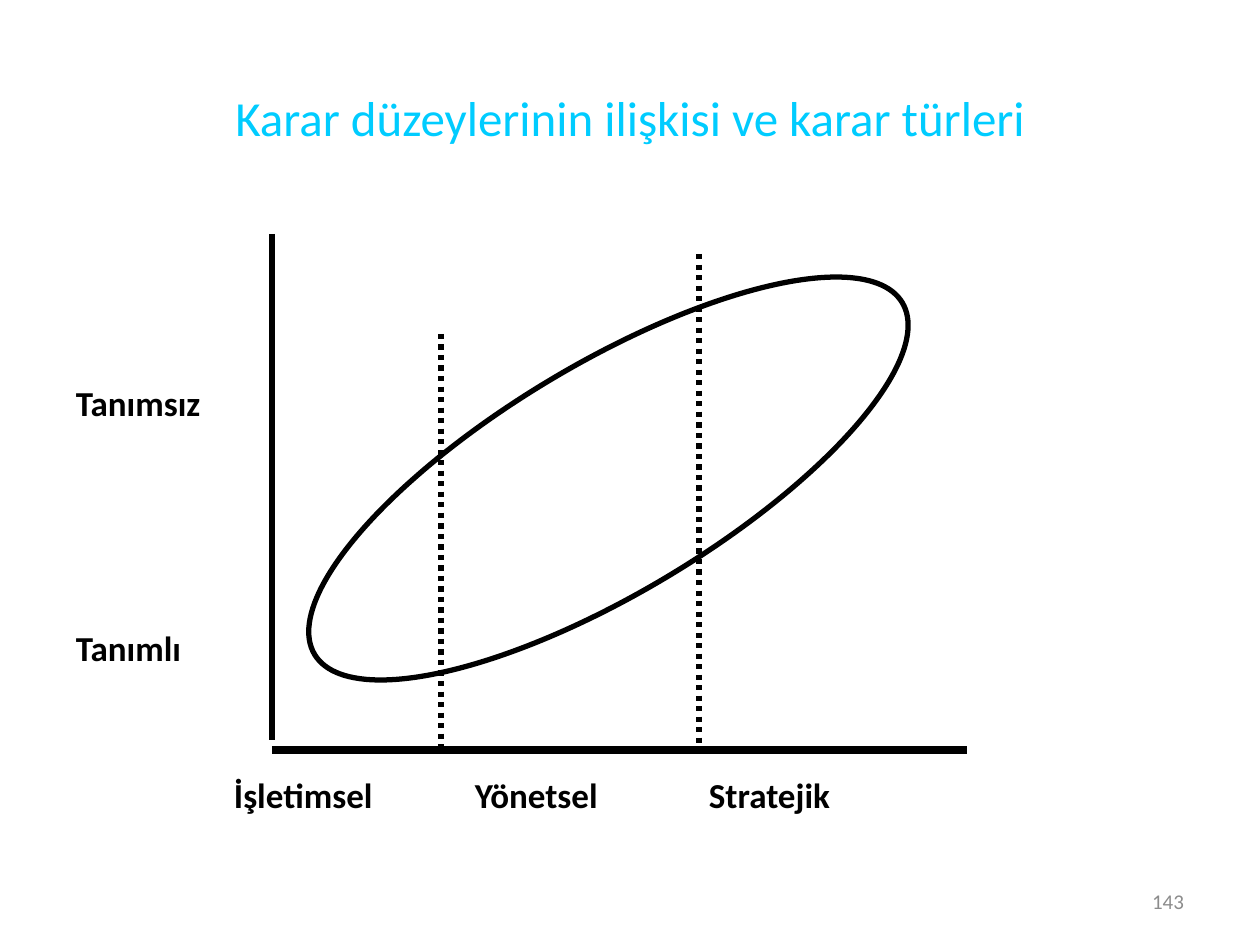
from pptx import Presentation
from pptx.dml.color import RGBColor
from pptx.enum.dml import MSO_LINE
from pptx.enum.shapes import MSO_CONNECTOR, MSO_SHAPE
from pptx.enum.text import MSO_ANCHOR, PP_ALIGN
from pptx.oxml.ns import qn
from pptx.util import Emu, Pt
from lxml import etree

PX = 914400 // 126
BLACK = RGBColor(0x00, 0x00, 0x00)
CYAN = RGBColor(0x00, 0xCC, 0xFF)
GRAY = RGBColor(0x8C, 0x8C, 0x8C)
LEFT, CENTER, RIGHT = PP_ALIGN.LEFT, PP_ALIGN.CENTER, PP_ALIGN.RIGHT
MIDDLE = MSO_ANCHOR.MIDDLE
STRAIGHT = MSO_CONNECTOR.STRAIGHT
OVAL = MSO_SHAPE.OVAL
DOTTED = MSO_LINE.ROUND_DOT  # written as sysDot

AXIS_X, AXIS_Y = 272, 750
LABEL_W, LABEL_H = 190, 44
LEVELS = [("Tanımsız", 403), ("Tanımlı", 648)]
DECISIONS = [("İşletimsel", 234), ("Yönetsel", 475), ("Stratejik", 709)]
DECISION_Y = 795
DIVIDERS = [(441, 334), (699, 254)]


def px(*lengths):
    return [Emu(n * PX) for n in lengths]


def add_text(s, text, x, y, w, h, size=20, color=BLACK, bold=False, align=LEFT, inset=0):
    tf = s.shapes.add_textbox(*px(x, y, w, h)).text_frame
    tf.word_wrap = True
    tf.vertical_anchor = MIDDLE
    tf.margin_left = tf.margin_right = Emu(inset * PX)
    tf.margin_top = tf.margin_bottom = 0
    p = tf.paragraphs[0]
    p.alignment = align
    r = p.add_run()
    r.text = text
    r.font.name = "Calibri"
    r.font.size = Pt(size)
    r.font.bold = bold
    r.font.color.rgb = color


def add_label(s, text, x, middle):
    add_text(s, text, x, middle - LABEL_H // 2, LABEL_W, LABEL_H, bold=True)


def add_line(s, x1, y1, x2, y2, width=3, dash=None):
    line = s.shapes.add_connector(STRAIGHT, *px(x1, y1, x2, y2))
    line.line.color.rgb = BLACK
    line.line.width = Pt(width)
    if dash:
        line.line.dash_style = dash
    etree.SubElement(line._element.spPr, qn("a:effectLst"))


def add_ellipse(s, x, y, w, h, rotation):
    sp = s.shapes.add_shape(OVAL, *px(x, y, w, h))
    sp.rotation = rotation
    sp.shadow.inherit = False
    sp.fill.background()
    sp.line.color.rgb = BLACK
    sp.line.width = Pt(3)


def main():
    prs = Presentation()
    prs.slide_width, prs.slide_height = px(1260, 945)
    s = prs.slides.add_slide(prs.slide_layouts[6])

    add_text(s, "Karar düzeylerinin ilişkisi ve karar türleri",
             63, 38, 1134, 158, size=28, color=CYAN, align=CENTER, inset=13)
    for text, middle in LEVELS:
        add_label(s, text, 76, middle)
    for text, x in DECISIONS:
        add_label(s, text, x, DECISION_Y)

    add_line(s, AXIS_X, 234, AXIS_X, 740)
    add_line(s, AXIS_X, AXIS_Y, 967, AXIS_Y, width=4.5)
    add_ellipse(s, 266, 364, 685, 229, 329.1)
    for x, top in DIVIDERS:
        add_line(s, x, top, x, AXIS_Y, dash=DOTTED)

    add_text(s, "143", 903, 876, 294, 50, size=12, color=GRAY, align=RIGHT, inset=13)
    prs.save("out.pptx")


if __name__ == "__main__":
    main()
